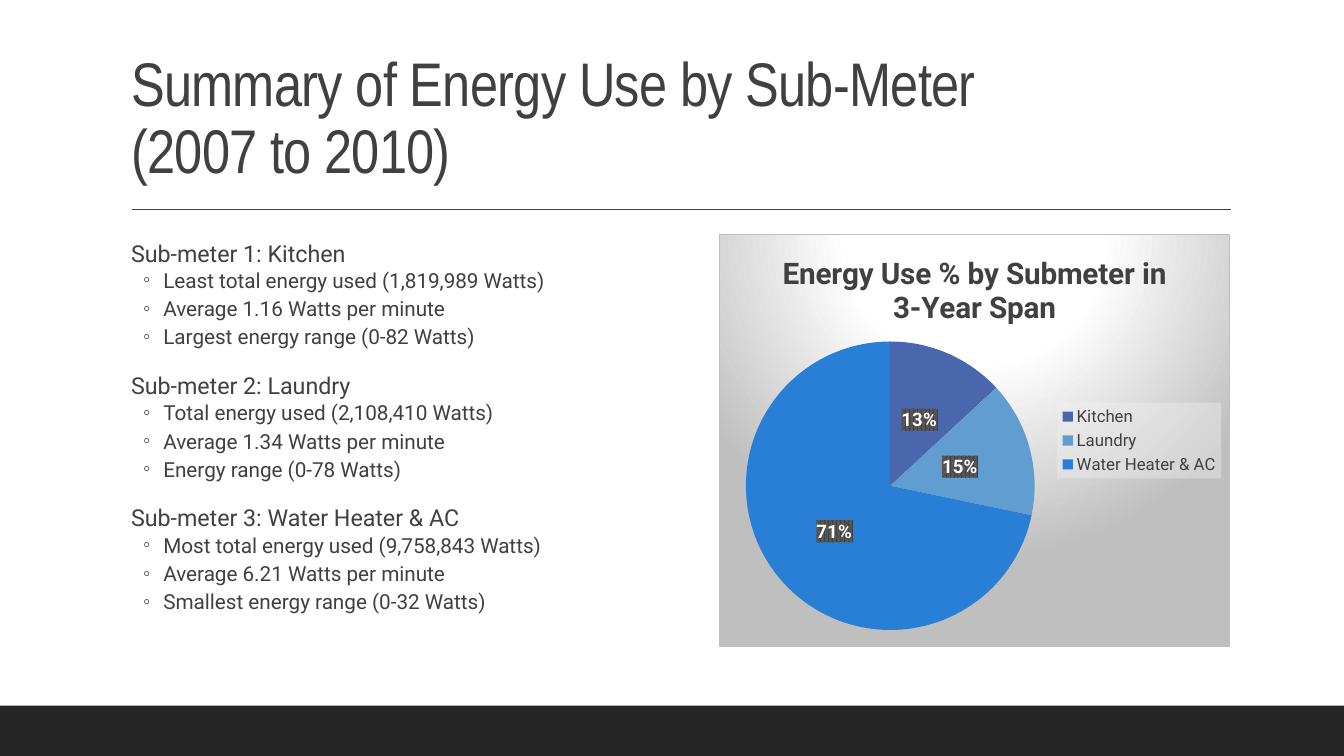
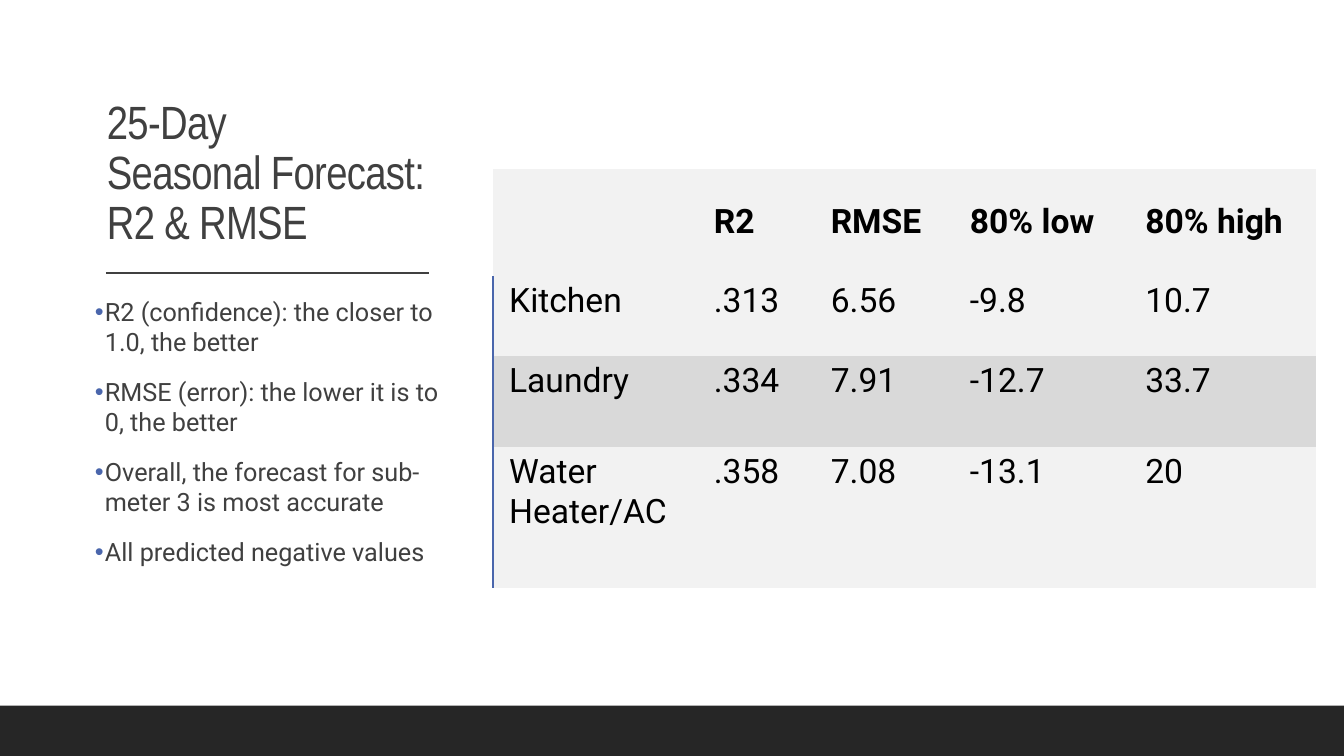
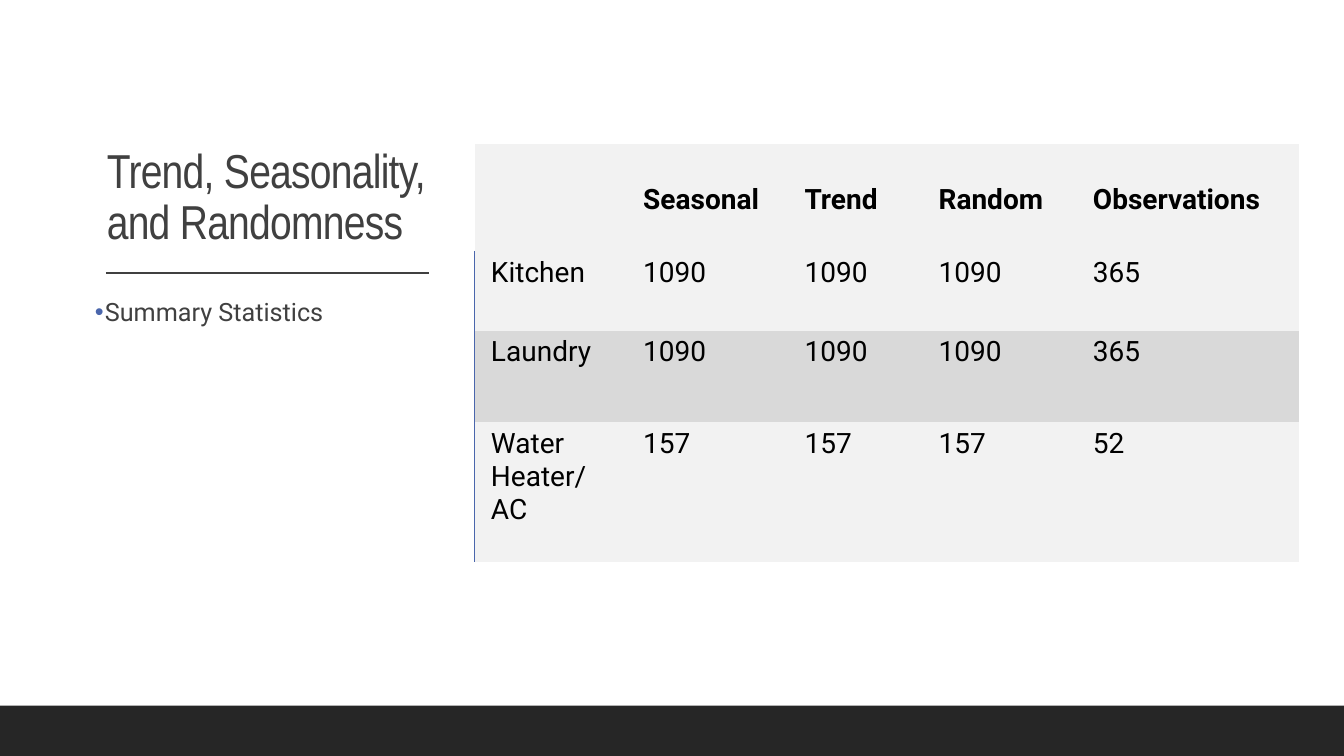
from copy import deepcopy

from pptx import Presentation
from pptx.chart.data import CategoryChartData
from pptx.dml.color import RGBColor
from pptx.enum.chart import XL_CHART_TYPE, XL_LABEL_POSITION, XL_LEGEND_POSITION
from pptx.enum.shapes import MSO_CONNECTOR, MSO_SHAPE
from pptx.enum.text import MSO_ANCHOR, MSO_AUTO_SIZE, PP_ALIGN
from pptx.oxml import parse_xml
from pptx.oxml.ns import nsdecls, qn
from pptx.util import Inches, Pt

INK = RGBColor(0x40, 0x40, 0x40)
BAND = RGBColor(0x26, 0x26, 0x26)
ACCENT = RGBColor(0x4A, 0x66, 0xAC)
SKY = RGBColor(0x62, 0x9D, 0xD1)
AZURE = RGBColor(0x29, 0x7F, 0xD5)
PALE = RGBColor(0xF2, 0xF2, 0xF2)
GREY = RGBColor(0xD9, 0xD9, 0xD9)
BLACK = RGBColor(0, 0, 0)
WHITE = RGBColor(0xFF, 0xFF, 0xFF)

HEAD_FONT, BODY_FONT = "Arial Narrow", "Roboto"
W, H, BAND_H = 13.33, 7.5, 0.5
COLUMN_W, COLUMN_H, COLUMN_TOP = 5.07, 4.1, 2.32
LEFT, RIGHT = 1.2, 7.13
ROW_HEIGHTS = [1.06, 0.79, 0.91, 1.39]
NO_GRID = "{2D5ABB26-0587-4C30-8999-92F81FD0307C}"

WIDE = {"title": (LEFT, 0.31, 11, 1.59), "rule": (1.31, 12.21, 2.08),
        "body": (LEFT, COLUMN_TOP, COLUMN_W, COLUMN_H)}
SIDE = {"title": (0.96, 0.7, 3.48, 1.83), "rule": (1.05, 4.25, 2.71),
        "body": (0.94, 2.89, 3.51, 3.53)}

HEADING = {"level": 0, "size": 16.6, "left": 0.1, "indent": 0, "bullet": None,
           "line": 1.0, "before": 12, "after": 2}
DETAIL = {"level": 1, "size": 14.8, "left": 0.42, "indent": -0.2, "bullet": "◦",
          "line": 0.8, "before": 2, "after": 4}
POINT = {**HEADING, "size": 18, "indent": -0.1, "bullet": "•"}

SUBMETERS = [
    ("Sub-meter 1: Kitchen", ["Least total energy used (1,819,989 Watts)",
                              "Average 1.16 Watts per minute",
                              "Largest energy range (0-82 Watts)"]),
    ("Sub-meter 2: Laundry", ["Total energy used (2,108,410 Watts)",
                              "Average 1.34 Watts per minute",
                              "Energy range (0-78 Watts)"]),
    ("Sub-meter 3: Water Heater & AC", ["Most total energy used (9,758,843 Watts)",
                                        "Average 6.21 Watts per minute",
                                        "Smallest energy range (0-32 Watts)"]),
]
SHARES = [("Kitchen", 13, ACCENT), ("Laundry", 15, SKY), ("Water Heater & AC", 71, AZURE)]
CHART_TITLE = "Energy Use % by Submeter in 3-Year Span"

TABLE_SLIDES = [
    {"title": "25-Day\vSeasonal Forecast: \vR2 & RMSE", "title_size": 33.3,
     "points": ["R2 (confidence): the closer to 1.0, the better",
                "RMSE (error): the lower it is to 0, the better",
                "Overall, the forecast for sub-meter 3 is most accurate",
                "All predicted negative values"],
     "at": (4.89, 1.68), "cols": [2.03, 1.16, 1.38, 1.74, 1.85], "size": 24,
     "rows": [("", "R2", "RMSE", "80% low", "80% high"),
              ("Kitchen", ".313", "6.56", "-9.8", "10.7"),
              ("Laundry", ".334", "7.91", "-12.7", "33.7"),
              ("Water Heater/AC", ".358", "7.08", "-13.1", "20")]},
    {"title": "Trend, Seasonality, and Randomness", "title_size": 34,
     "points": ["Summary Statistics"],
     "at": (4.71, 1.43), "cols": [1.51, 1.6, 1.33, 1.53, 2.2], "size": 20,
     "rows": [("", "Seasonal", "Trend", "Random", "Observations"),
              ("Kitchen", "1090", "1090", "1090", "365"),
              ("Laundry", "1090", "1090", "1090", "365"),
              ("Water Heater/AC", "157", "157", "157", "52")]},
]


def style(font, size, color=INK, name=BODY_FONT, bold=False):
    for key, value in {"size": Pt(size), "name": name, "bold": bold}.items():
        setattr(font, key, value)
    font.color.rgb = color


def place(shape, box):
    for key, value in zip(("left", "top", "width", "height"), box):
        setattr(shape, key, Inches(value))


def set_margins(target, margins):
    for side, value in zip(("left", "top", "right", "bottom"), margins):
        setattr(target, f"margin_{side}", Inches(value))


def add_title(s, text, size, box):
    place(s.shapes.title, box)
    tf = s.shapes.title.text_frame
    tf.auto_size, tf.vertical_anchor = MSO_AUTO_SIZE.NONE, MSO_ANCHOR.BOTTOM
    tf.text = text
    p = tf.paragraphs[0]
    p.alignment, p.line_spacing = PP_ALIGN.LEFT, 0.9
    for r in p.runs:
        style(r.font, size, name=HEAD_FONT)
        r._r.get_or_add_rPr().set("spc", "-50")
    for br in p._p.findall(qn("a:br")):
        br.append(deepcopy(p.runs[0]._r.get_or_add_rPr()))


def add_body(s, items, box):
    sp = s.placeholders[1]
    place(sp, box)
    tf = sp.text_frame
    tf.auto_size, tf.vertical_anchor = MSO_AUTO_SIZE.NONE, MSO_ANCHOR.TOP
    set_margins(tf, (0, 0.05, 0, 0.05))
    for i, (text, look) in enumerate(items):
        p = tf.add_paragraph() if i else tf.paragraphs[0]
        r = p.add_run()
        r.text = text
        style(r.font, look["size"])
        p.level, p.line_spacing = look["level"], look["line"]
        p.space_before, p.space_after = Pt(look["before"]), Pt(look["after"])
        pPr = p._p.get_or_add_pPr()
        pPr.set("marL", str(Inches(look["left"])))
        pPr.set("indent", str(Inches(look["indent"])))
        if look["bullet"]:
            color = INK if look["level"] else ACCENT
            pPr.append(parse_xml(f'<a:buClr {nsdecls("a")}><a:srgbClr val="{color}"/></a:buClr>'))
            pPr.append(parse_xml(f'<a:buChar {nsdecls("a")} char="{look["bullet"]}"/>'))
        else:
            pPr.append(parse_xml(f'<a:buNone {nsdecls("a")}/>'))


def add_slide(prs, title, size, items, frame):
    s = prs.slides.add_slide(prs.slide_layouts[1])
    band = s.shapes.add_shape(MSO_SHAPE.RECTANGLE, 0, Inches(H - BAND_H), Inches(W), Inches(BAND_H))
    band.shadow.inherit = False
    band.fill.solid()
    band.fill.fore_color.rgb = BAND
    band.line.fill.background()
    x1, x2, y = map(Inches, frame["rule"])
    rule = s.shapes.add_connector(MSO_CONNECTOR.STRAIGHT, x1, y, x2, y)
    rule.line.color.rgb, rule.line.width = INK, Pt(1)
    rule._element.spPr.append(parse_xml(f'<a:effectLst {nsdecls("a")}/>'))
    add_title(s, title, size, frame["title"])
    add_body(s, items, frame["body"])
    return s


def paint(element, fill):
    element.find(qn("c:txPr")).addprevious(
        parse_xml(f'<c:spPr {nsdecls("c", "a")}>{fill}</c:spPr>'))


def solid(color, alpha=100):
    return (f'<a:solidFill><a:srgbClr val="{color}"><a:alpha val="{alpha * 1000}"/>'
            '</a:srgbClr></a:solidFill>')


def set_plot_area(chart, **shares):
    area = chart._chartSpace.chart.plotArea
    for old in area.findall(qn("c:layout")):
        area.remove(old)
    parts = {"layoutTarget": "inner", "xMode": "edge", "yMode": "edge", **shares}
    inner = "".join(f'<c:{key} val="{value}"/>' for key, value in parts.items())
    area.insert(0, parse_xml(
        f'<c:layout {nsdecls("c")}><c:manualLayout>{inner}</c:manualLayout></c:layout>'))


def add_pie(s):
    data = CategoryChartData()
    data.categories = [name for name, _, _ in SHARES]
    data.add_series("Series 1", [value for _, value, _ in SHARES])
    box = map(Inches, (RIGHT, COLUMN_TOP, COLUMN_W, COLUMN_H))
    chart = s.shapes.add_chart(XL_CHART_TYPE.PIE, *box, data).chart
    style(chart.font, 10, BLACK)
    chart.has_title = True
    tf = chart.chart_title.text_frame
    tf.text = CHART_TITLE
    style(tf.paragraphs[0].runs[0].font, 21.3, bold=True)
    chart.has_legend = True
    legend = chart.legend
    legend.position, legend.include_in_layout = XL_LEGEND_POSITION.RIGHT, False
    style(legend.font, 12)
    plot = chart.plots[0]
    plot.vary_by_categories = True
    for i, (_, _, color) in enumerate(SHARES):
        fill = plot.series[0].points[i].format.fill
        fill.solid()
        fill.fore_color.rgb = color
    plot.has_data_labels = True
    labels = plot.data_labels
    for key, value in {"show_value": True, "number_format": '0"%"',
                       "number_format_is_linked": False,
                       "position": XL_LABEL_POSITION.CENTER}.items():
        setattr(labels, key, value)
    style(labels.font, 13.3, WHITE, bold=True)
    set_plot_area(chart, x=0.05, y=0.26, w=0.57, h=0.7)
    paint(legend._element, solid(PALE, 39))
    paint(labels._element, f'<a:pattFill prst="pct75"><a:fgClr><a:srgbClr val="{INK}"/></a:fgClr>'
                           '<a:bgClr><a:srgbClr val="595959"/></a:bgClr></a:pattFill>')
    stops = "".join(f'<a:gs pos="{pos}000"><a:srgbClr val="{color}"/></a:gs>'
                    for pos, color in ((0, "FFFFFF"), (39, "FFFFFF"), (100, "BFBFBF")))
    paint(chart._chartSpace,
          f'<a:gradFill><a:gsLst>{stops}</a:gsLst><a:path path="circle">'
          '<a:fillToRect l="50000" t="-80000" r="50000" b="180000"/></a:path></a:gradFill>'
          f'<a:ln w="{Pt(0.75)}">{solid("BFBFBF")}</a:ln>')


def add_grid(s, spec_rows, cols, at, size):
    box = map(Inches, (*at, sum(cols), sum(ROW_HEIGHTS)))
    table = s.shapes.add_table(len(spec_rows), len(cols), *box).table
    table._tbl.tblPr.find(qn("a:tableStyleId")).text = NO_GRID
    table.horz_banding = False
    for col, width in zip(table.columns, cols):
        col.width = Inches(width)
    for i, (texts, height) in enumerate(zip(spec_rows, ROW_HEIGHTS)):
        table.rows[i].height = Inches(height)
        for j, text in enumerate(texts):
            cell = table.cell(i, j)
            set_margins(cell, (0.16, 0.05, 0.23, 0.34))
            cell.vertical_anchor = MSO_ANCHOR.TOP if i else MSO_ANCHOR.BOTTOM
            cell.fill.solid()
            cell.fill.fore_color.rgb = GREY if i == 2 else PALE
            if text:
                r = cell.text_frame.paragraphs[0].add_run()
                r.text = text
                style(r.font, size, BLACK, bold=i == 0)
            if i and j == 0:
                cell._tc.get_or_add_tcPr().insert(0, parse_xml(
                    f'<a:lnL {nsdecls("a")} w="{Pt(1)}">{solid(ACCENT)}</a:lnL>'))


def main():
    prs = Presentation()
    prs.slide_width, prs.slide_height = Inches(W), Inches(H)
    items = []
    for heading, details in SUBMETERS:
        items.append((heading, HEADING))
        items += [(text, DETAIL) for text in details]
    s = add_slide(prs, "Summary of Energy Use by Sub-Meter \v(2007 to 2010)", 44, items, WIDE)
    add_pie(s)
    for d in TABLE_SLIDES:
        points = [(text, POINT) for text in d["points"]]
        s = add_slide(prs, d["title"], d["title_size"], points, SIDE)
        add_grid(s, d["rows"], d["cols"], d["at"], d["size"])
    prs.save("out.pptx")


if __name__ == "__main__":
    main()
